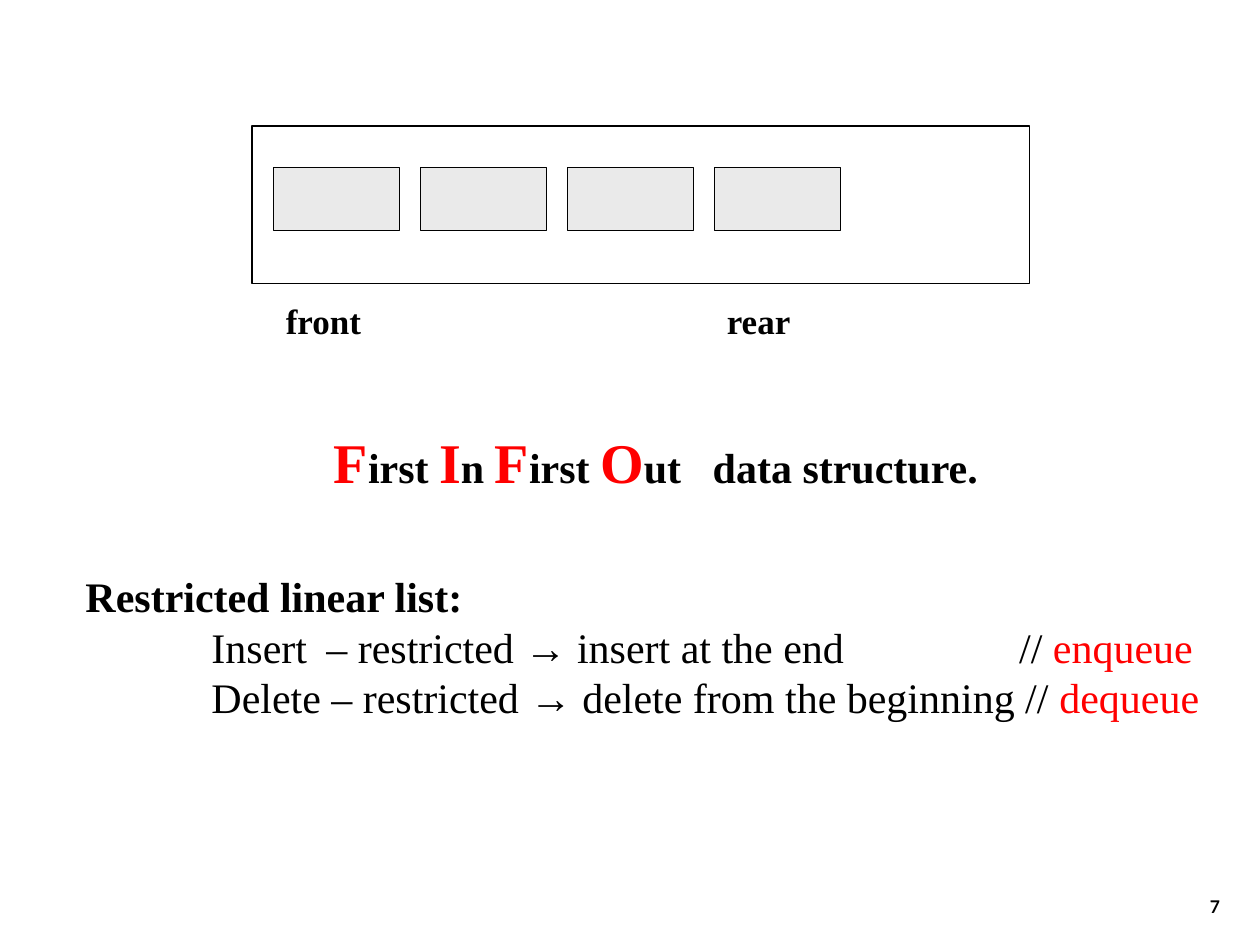
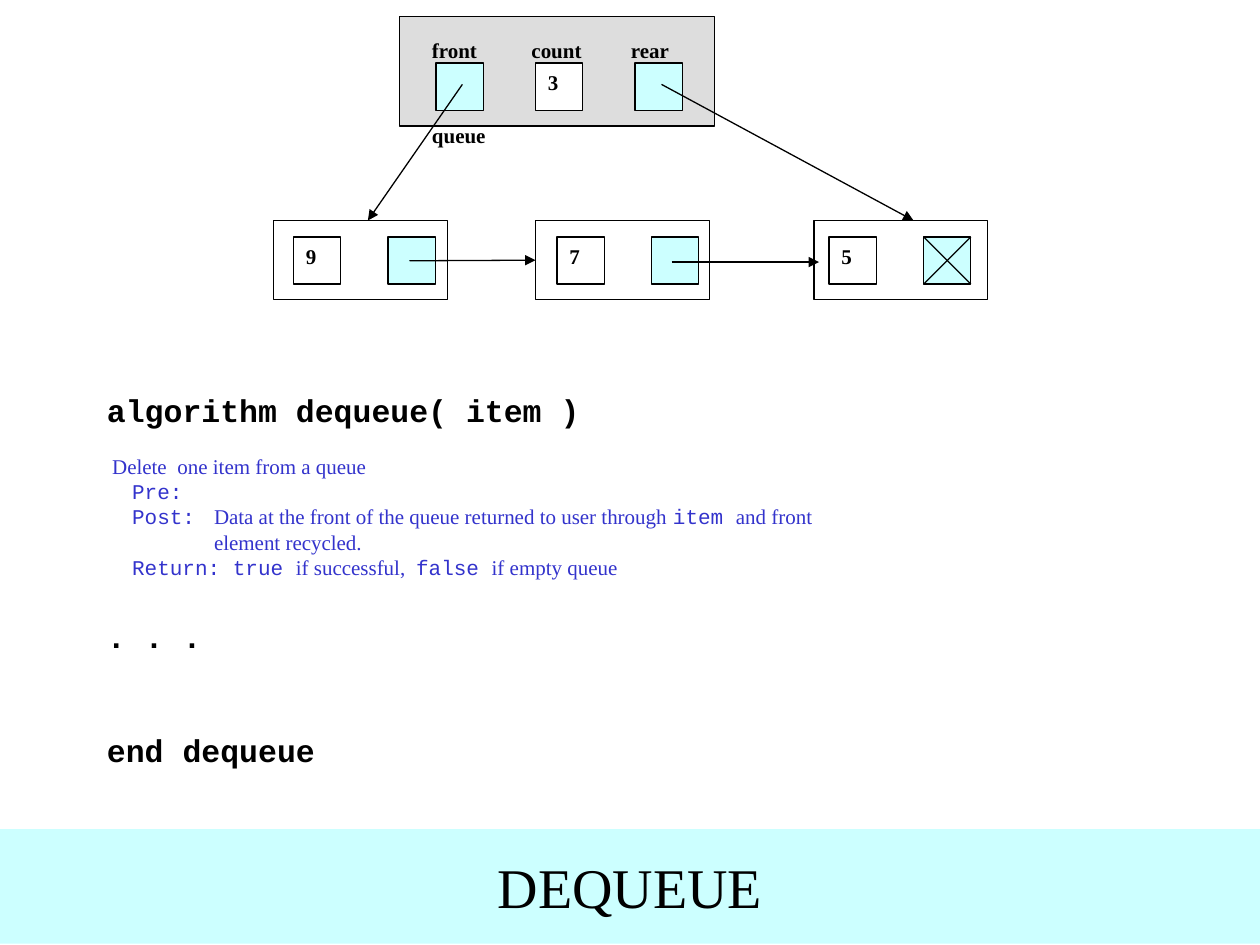
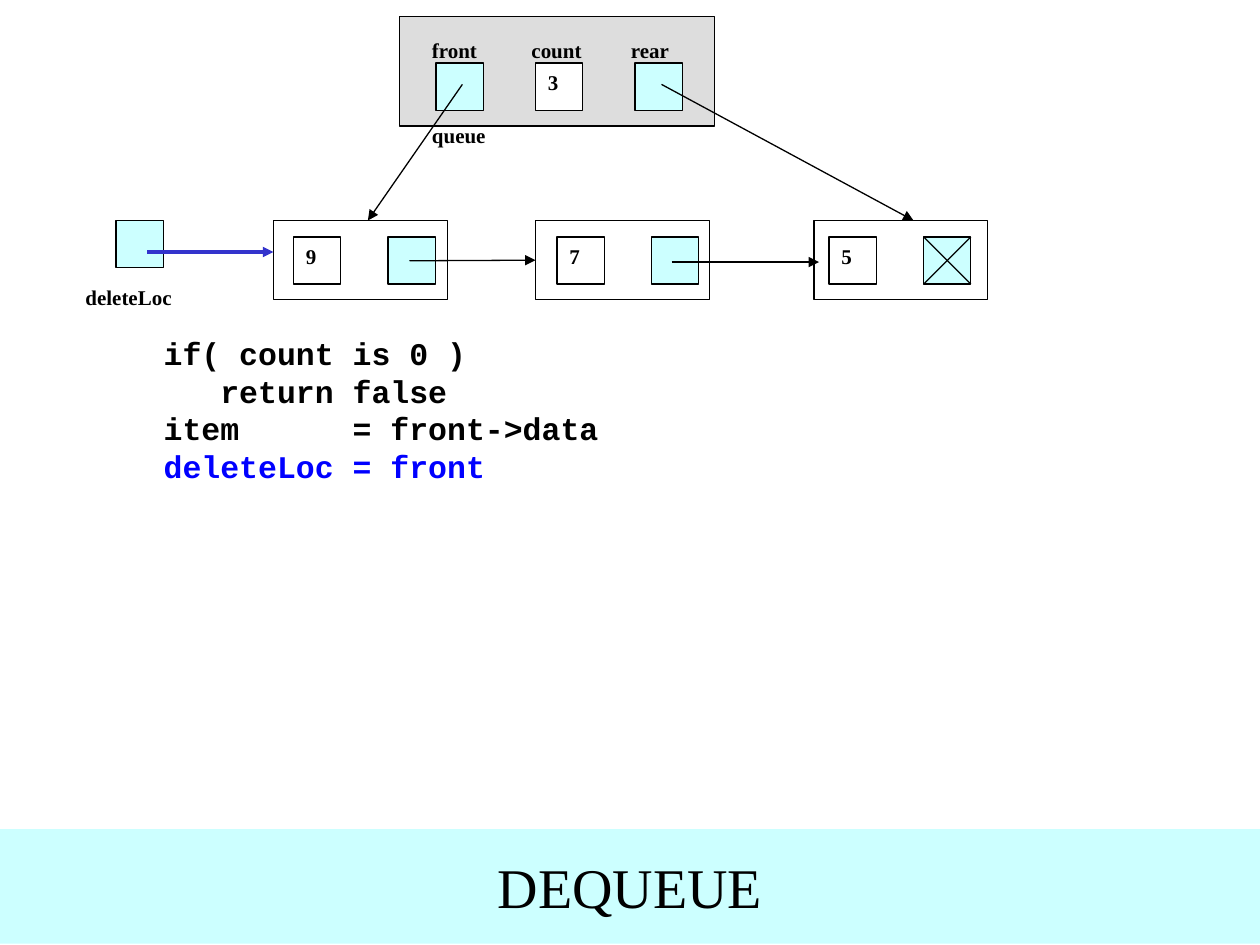
"""Build three slides on queues: the FIFO idea and the dequeue algorithm."""
from dataclasses import dataclass

from lxml import etree
from pptx import Presentation
from pptx.dml.color import RGBColor
from pptx.enum.shapes import MSO_CONNECTOR, MSO_SHAPE
from pptx.enum.text import MSO_ANCHOR, PP_ALIGN
from pptx.oxml.ns import qn
from pptx.util import Inches, Pt

RECTANGLE = MSO_SHAPE.RECTANGLE
STRAIGHT = MSO_CONNECTOR.STRAIGHT
LEFT, CENTER, RIGHT = PP_ALIGN.LEFT, PP_ALIGN.CENTER, PP_ALIGN.RIGHT
TOP, MIDDLE, BOTTOM = MSO_ANCHOR.TOP, MSO_ANCHOR.MIDDLE, MSO_ANCHOR.BOTTOM
LEFT_SIDE = 1


@dataclass(frozen=True)
class Theme:
    black: str = "000000"
    white: str = "FFFFFF"
    red: str = "FF0000"
    indigo: str = "3333CC"
    blue: str = "0000FF"
    cyan: str = "CCFFFF"
    panel: str = "DDDDDD"
    item: str = "EAEAEA"
    serif: str = "Times New Roman"
    mono: str = "Courier New"
    arrow: str = "Arial"
    number: str = "Lato"
    tiny: int = 10
    small: int = 12
    code: int = 18
    label: int = 20
    body: int = 24
    large: int = 32
    leading: float = 1.2
    thin: float = 0.75
    thick: float = 2


theme = Theme()


def write(frame, text, size=theme.small, font=theme.serif, color=theme.black,
          bold=True, align=LEFT, before=0, stops=()):
    """Add a paragraph; text is a string or a list of (string, overrides)."""
    para = frame.add_paragraph() if frame.text else frame.paragraphs[0]
    para.alignment = align
    para.space_before = Pt(before)
    spans = [(text, {})] if isinstance(text, str) else text
    tallest = max(style.get("size", size) for _, style in spans)
    para.line_spacing = Pt(theme.leading * tallest)
    if stops:
        tabs = etree.SubElement(para._p.get_or_add_pPr(), qn("a:tabLst"))
        for stop in stops:
            etree.SubElement(tabs, qn("a:tab"), pos=str(Inches(stop)), algn="l")
    for words, style in spans:
        span = para.add_run()
        span.text = words
        span.font.size = Pt(style.get("size", size))
        span.font.name = style.get("font", font)
        span.font.bold = bold and style.get("bold", True)
        span.font.color.rgb = RGBColor.from_string(style.get("color", color))
        if "gap" in style:
            span._r.get_or_add_rPr().set("spc", str(style["gap"] * 100))


def add_box(page, left, top, width, height, fill=None, line=None, text="",
            anchor=TOP, **style):
    """Add a rectangle, or a text box when it has neither fill nor line."""
    place = [Inches(length) for length in (left, top, width, height)]
    if fill or line:
        box = page.shapes.add_shape(RECTANGLE, *place)
        box.shadow.inherit = False
        if fill:
            box.fill.solid()
            box.fill.fore_color.rgb = RGBColor.from_string(fill)
        else:
            box.fill.background()
        if line:
            box.line.color.rgb = RGBColor.from_string(line)
            box.line.width = Pt(theme.thin)
        else:
            box.line.fill.background()
    else:
        box = page.shapes.add_textbox(*place)
    box.text_frame.word_wrap = True
    box.text_frame.vertical_anchor = anchor
    if text:
        write(box.text_frame, text, **style)
    return box


deck = Presentation()
deck.slide_width, deck.slide_height = Inches(10), Inches(7.5)
title_only, blank = deck.slide_layouts[5], deck.slide_layouts[6]

page = deck.slides.add_slide(blank)
add_box(page, 7.7, 6.83, 2.08, 0.5, text="7", anchor=BOTTOM, align=RIGHT,
        size=theme.tiny, font=theme.number)
add_box(page, 2, 1, 6.17, 1.25, line=theme.black)
for index in range(4):
    add_box(page, 2.17 + 1.167 * index, 1.33, 1, 0.5, theme.item, theme.black)
for left, name in ((2.17, "front"), (5.67, "rear")):
    add_box(page, left, 2.33, 1, 0.5, text=name, size=theme.label)

initial = {"size": theme.large, "color": theme.red}
frame = add_box(page, 0.58, 3.34, 9.25, 2.44).text_frame
write(frame, [("F", initial), ("irst ", {}), ("I", initial), ("n ", {}),
              ("F", initial), ("irst ", {}), ("O", initial), ("ut", {}),
              (" ", {"gap": 12}), ("data structure.", {})],
      size=theme.body, align=CENTER)
write(frame, "Restricted linear list:", size=theme.body, before=43.8)
for verb, gap, effect, call in (
        ("Insert", 5, " insert at the end\t// ", "enqueue"),
        ("Delete", 0, " delete from the beginning // ", "dequeue")):
    write(frame, [("\t" + verb, {}), (" ", {"gap": gap}), ("– restricted ", {}),
                  ("→", {"font": theme.arrow}), (effect, {}),
                  (call, {"color": theme.red})],
          size=theme.body, bold=False, stops=(1, 7.41))

bodies = []
node_top, node_width, node_height = 1.75, 1.38, 0.63
cell_top, cell = 1.88, 0.375
link_y = 2.07
for has_pointer in (False, True):
    page = deck.slides.add_slide(title_only)
    title = page.shapes.title
    title.left, title.top = Inches(0), Inches(6.58)
    title.width, title.height = Inches(10), Inches(0.91)
    title.fill.solid()
    title.fill.fore_color.rgb = RGBColor.from_string(theme.cyan)
    title.text_frame.vertical_anchor = MIDDLE
    write(title.text_frame, "DEQUEUE", size=theme.large, bold=False, align=CENTER)

    add_box(page, 3.33, 0.92, 0.75, 0.38, theme.white, text="queue")
    add_box(page, 3.17, 0.13, 2.5, 0.87, theme.panel, theme.black)
    for index, (name, value, fill) in enumerate((
            ("front", "", theme.cyan), ("count", "3", theme.white),
            ("rear", "", theme.cyan))):
        left = 3.33 + 0.79 * index
        add_box(page, left, 0.25, 0.63, 0.38, theme.panel, text=name)
        add_box(page, left + 0.13, 0.5, cell, cell, fill, theme.black, value)

    nodes = []
    for left, data_left, link_left, value in (
            (2.17, 2.33, 3.08, "9"), (4.25, 4.42, 5.17, "7"),
            (6.46, 6.58, 7.33, "5")):
        nodes.append(add_box(page, left, node_top, node_width, node_height,
                             theme.white, theme.black))
        add_box(page, data_left, cell_top, cell, cell,
                theme.white, theme.black, value)
        add_box(page, link_left, cell_top, cell, cell, theme.cyan, theme.black)

    cell_right, cell_bottom = link_left + cell, cell_top + cell
    lines = [
        (cell_right, cell_top, link_left, cell_bottom, False, None),
        (link_left, cell_top, cell_right, cell_bottom, False, None),
        (3.25, link_y, 4.25, link_y, True, nodes[1]),
        (5.33, link_y + 0.01, 6.5, link_y + 0.01, True, None),
        (3.67, 0.67, 2.92, node_top, True, None),
        (5.25, 0.67, 7.25, node_top, True, None),
    ]
    if has_pointer:
        add_box(page, 0.58, 2.21, 0.92, 0.38, theme.white, text="deleteLoc")
        add_box(page, 0.92, node_top, cell, cell, theme.cyan, theme.black)
        lines.append((1.17, 2, 2.17, 2, True, None))
    for *ends, has_head, target in lines:
        is_pointer = ends[0] == 1.17
        connector = page.shapes.add_connector(
            STRAIGHT, *[Inches(length) for length in ends])
        if target:
            connector.end_connect(target, LEFT_SIDE)
        connector.line.color.rgb = RGBColor.from_string(
            theme.indigo if is_pointer else theme.black)
        connector.line.width = Pt(theme.thick if is_pointer else theme.thin)
        if has_head:
            etree.SubElement(connector.line._get_or_add_ln(), qn("a:tailEnd"),
                             type="triangle")
        etree.SubElement(connector._element.spPr, qn("a:effectLst"))

    body_top, body_height, inset = (2.58, 3.4, 0.07) if has_pointer else (2.83, 3.3, 0.27)
    frame = add_box(page, 0.75, body_top, 8.08, body_height).text_frame
    frame.margin_top = Inches(inset)
    bodies.append(frame)

heading = {"size": theme.code, "font": theme.mono}
comment = {"color": theme.indigo, "bold": False, "stops": (0.2, 0.85)}
mono = {"font": theme.mono}
algorithm, steps = bodies
write(algorithm, "algorithm dequeue( item )", **heading)
write(algorithm, [(" Delete", {}), (" ", {"gap": 3}), ("one item from a queue", {})],
      before=14.4, **comment)
write(algorithm, "\tPre:", font=theme.mono, **comment)
write(algorithm, [("\tPost:", mono),
                  ("\tData at the front of the queue returned to user through ", {}),
                  ("item ", mono), ("and front", {})], **comment)
write(algorithm, "\t\telement recycled.", **comment)
write(algorithm, [("\tReturn: true ", mono), ("if successful,", {}),
                  (" ", {"gap": 3}), ("false ", mono), ("if empty queue", {})],
      **comment)
write(algorithm, ". . .", before=21.6, **heading)
write(algorithm, "end dequeue", before=43.2, **heading)

for step, color in (("\tif( count is 0 )", theme.black),
                    ("\t\treturn false", theme.black),
                    ("\titem\t= front->data", theme.black),
                    ("\tdeleteLoc = front", theme.blue)):
    write(steps, step, color=color, stops=(0.45, 0.9, 1.95), **heading)

deck.save("out.pptx")
